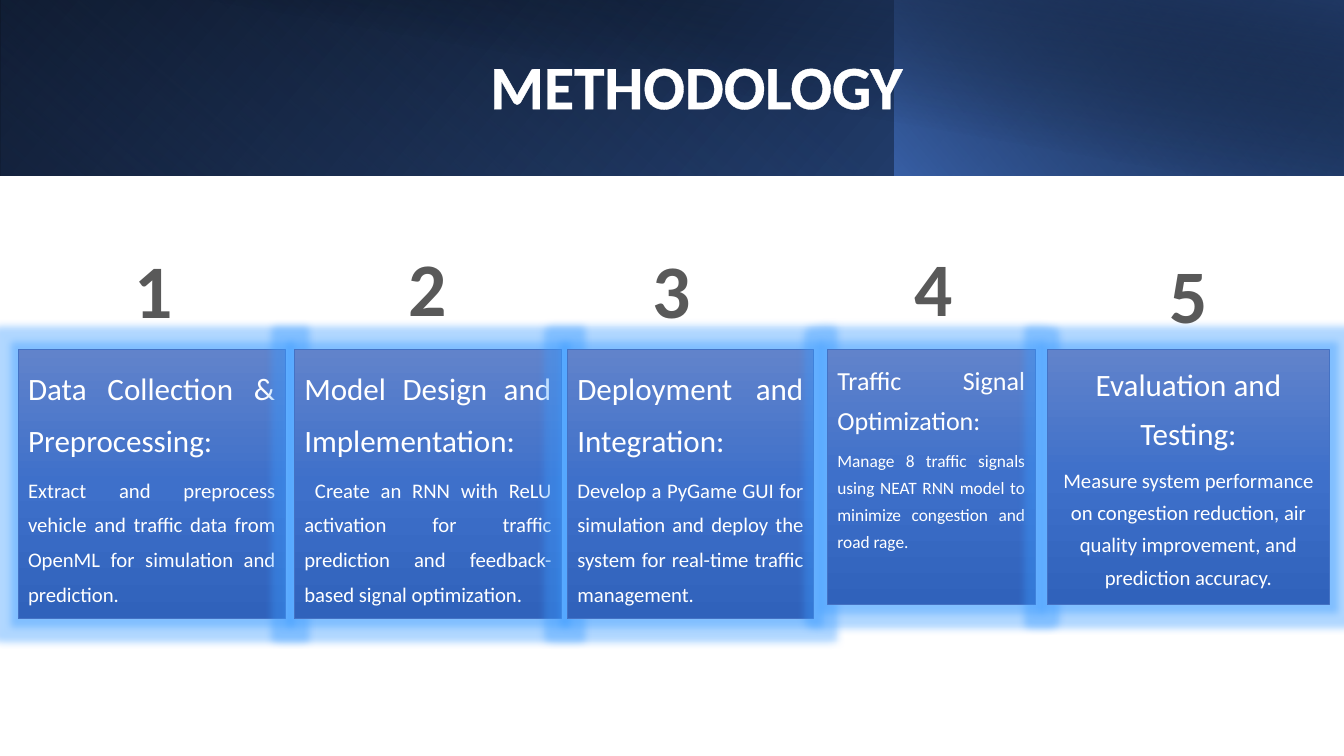
from lxml.etree import SubElement
from pptx import Presentation
from pptx.dml.color import RGBColor
from pptx.enum.shapes import MSO_SHAPE as Preset
from pptx.enum.text import MSO_ANCHOR as Anchor, MSO_AUTO_SIZE as AutoSize, PP_ALIGN as Align
from pptx.oxml import parse_xml
from pptx.oxml.ns import nsdecls, qn
from pptx.util import Pt

COLORS = {
    "white": "FFFFFF", "black": "000000", "number": "595959",
    "accent": "4472C4", "navy": "203864", "royal": "2F5597",
    "card_top": "6183CB", "card_middle": "3E70CA", "card_bottom": "3062BB",
    "glow": "3B9BFF",
}
CARD_STOPS = [(0, "card_top", 100), (50, "card_middle", 100), (100, "card_bottom", 100)]
NUMBER_SIZE = (147.6, 81.36)

STEPS = [
    dict(box=(12.96, 249.84, 190.8, 192.24), number_shift=(1.4, -80.6),
         heading="Data Collection & Preprocessing:",
         detail="Extract and preprocess vehicle and traffic data from OpenML for simulation and prediction."),
    dict(box=(210.24, 249.84, 190.8, 192.24), number_shift=(0, -82),
         heading="Model Design and Implementation:",
         detail=" Create an RNN with ReLU activation for traffic prediction and feedback-based signal optimization."),
    dict(box=(405.36, 249.84, 175.68, 192.24), number_shift=(-13.3, -80.6),
         heading="Deployment and Integration:",
         detail="Develop a PyGame GUI for simulation and deploy the system for real-time traffic management."),
    dict(box=(591.12, 249.84, 148.32, 182.16), number_shift=(1.8, -82),
         heading="Traffic Signal Optimization:",
         detail="Manage 8 traffic signals using NEAT RNN model to minimize congestion and road rage.",
         sizes=(18.6, 12.4), spacing=1.3),
    dict(box=(748.08, 249.84, 201.6, 182.16), number_shift=(0.4, -77),
         heading="Evaluation and Testing:",
         detail="Measure system performance on congestion reduction, air quality improvement, and prediction accuracy.",
         spacing=1.3, align=Align.CENTER),
]


def add_color(parent, color, opacity):
    tint = SubElement(parent, qn("a:srgbClr"), val=COLORS[color])
    if opacity < 100:
        SubElement(tint, qn("a:alpha"), val=str(opacity * 1000))


def add_gradient_box(slide, box, stops, angle):
    panel = slide.shapes.add_shape(Preset.RECTANGLE, *map(Pt, box))
    panel.shadow.inherit = False
    panel.line.fill.background()
    gradient = parse_xml(f'<a:gradFill {nsdecls("a")} rotWithShape="1"/>')
    stop_list = SubElement(gradient, qn("a:gsLst"))
    for position, color, opacity in stops:
        stop = SubElement(stop_list, qn("a:gs"), pos=str(position * 1000))
        add_color(stop, color, opacity)
    SubElement(gradient, qn("a:lin"), ang=str(angle * 60000), scaled="0")
    panel.element.spPr.find(qn("a:prstGeom")).addnext(gradient)
    return panel


def style_paragraph(paragraph, size, color, align, spacing, bold=False):
    paragraph.alignment = align
    paragraph.line_spacing = spacing
    paragraph.space_before = Pt(0)
    paragraph.space_after = Pt(6)
    paragraph.font.name = "Calibri"
    paragraph.font.size = Pt(size)
    paragraph.font.bold = bold
    paragraph.font.color.rgb = RGBColor.from_string(COLORS[color])


def write_display(holder, text, size, color):
    frame = holder.text_frame
    frame.word_wrap = True
    frame.auto_size = AutoSize.NONE
    frame.vertical_anchor = Anchor.MIDDLE
    frame.text = text
    style_paragraph(frame.paragraphs[0], size, color, Align.CENTER, 0.9, True)
    for properties in holder.element.iter(qn("a:defRPr")):
        outline = parse_xml(f'<a:ln {nsdecls("a")} w="{Pt(1.06)}"/>')
        add_color(SubElement(outline, qn("a:solidFill")), "white", 100)
        properties.insert(0, outline)


def add_banner(slide, box):
    left, top, width, height = box
    split = 639
    layers = [
        (0, width, [(0, "black", 100), (100, "royal", 100)], 140, True, 0),
        (0, split, [(20, "accent", 0), (100, "navy", 55)], 230, True, 180),
        (split, width - split, [(0, "accent", 66), (100, "black", 30)], 220, True, 0),
        (36, width - 36, [(50, "black", 0), (99, "navy", 52)], 280, False, 0),
    ]
    for offset, layer_width, stops, angle, flipped, rotation in layers:
        layer = add_gradient_box(slide, (left + offset, top, layer_width, height), stops, angle)
        layer.rotation = rotation
        if flipped:
            layer.element.spPr.find(qn("a:xfrm")).set("flipH", "1")

    title = slide.shapes.title
    title.left, title.top = Pt(left + 108), Pt(top + 23.04)
    title.width, title.height = Pt(779.04), Pt(81.36)
    write_display(title, "METHODOLOGY", 44, "white")
    title.element.getparent().append(title.element)


def add_card(slide, box, heading, detail, sizes=(22.2, 14.8), spacing=1.4, align=Align.JUSTIFY):
    card = add_gradient_box(slide, box, CARD_STOPS, 90)
    card.line.color.rgb = RGBColor.from_string(COLORS["accent"])
    card.line.width = Pt(0.5)
    effects = card.element.spPr.find(qn("a:effectLst"))
    add_color(SubElement(effects, qn("a:glow"), rad=str(Pt(11))), "glow", 40)
    frame = card.text_frame
    frame.word_wrap = True
    frame.vertical_anchor = Anchor.TOP
    frame.text = f"{heading}\n{detail}"
    for paragraph, size in zip(frame.paragraphs, sizes):
        style_paragraph(paragraph, size, "white", align, spacing)


def add_number(slide, box, shift, number):
    left, top, width, _ = box
    number_width, number_height = NUMBER_SIZE
    number_left = left + (width - number_width) / 2 + shift[0]
    label = slide.shapes.add_textbox(
        Pt(number_left), Pt(top + shift[1]), Pt(number_width), Pt(number_height))
    write_display(label, str(number), 54, "number")


def add_steps(slide, steps):
    for step in steps:
        add_card(slide, **{key: value for key, value in step.items() if key != "number_shift"})
    for number, step in enumerate(steps, 1):
        add_number(slide, step["box"], step["number_shift"], number)


def main():
    deck = Presentation()
    deck.slide_width, deck.slide_height = Pt(960), Pt(540)
    slide = deck.slides.add_slide(deck.slide_layouts[5])
    add_banner(slide, (0, 0, 960, 125.5))
    add_steps(slide, STEPS)
    deck.save("out.pptx")


if __name__ == "__main__":
    main()
